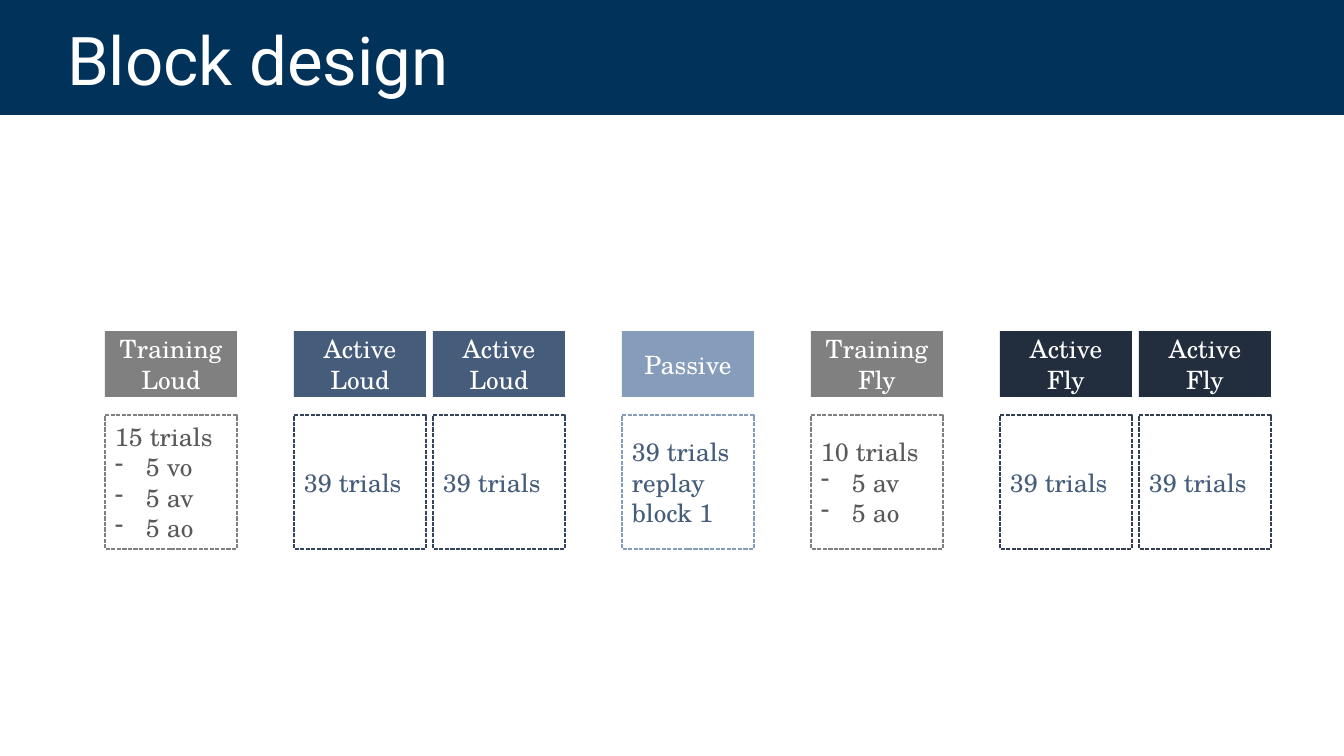
import pptx
import pptx.dml.color
import pptx.enum.dml
import pptx.enum.shapes
import pptx.enum.text
import pptx.oxml.ns
import pptx.util
from lxml import etree

EMU_PER_PX = 914400 / 100.8
SLIDE_WIDTH, SLIDE_HEIGHT = 1344, 756
BAND_HEIGHT = 115

BLOCK_WIDTH = 132
FIRST_LEFT = 105
GROUP_GAP, PAIR_GAP = 57, 7
HEADER_TOP, HEADER_HEIGHT = 331, 66
DETAIL_TOP, DETAIL_HEIGHT = 415, 134
BULLET_INDENT = 31

BLOCK_FONT = "TeX Gyre Schola"
WHITE, GRAY, DARK_GRAY, BLUE = "FFFFFF", "808080", "595959", "455C7B"

# Each block: header lines, header fill, detail lines, detail color, outline
ACTIVE_LOUD = (["Active", "Loud"], BLUE, ["39 trials"], BLUE, "33445B")
ACTIVE_FLY = (["Active", "Fly"], "222E3E", ["39 trials"], BLUE, "333F50")
BLOCK_GROUPS = [
    [(["Training", "Loud"], GRAY, ["15 trials", "5 vo", "5 av", "5 ao"], DARK_GRAY, GRAY)],
    [ACTIVE_LOUD, ACTIVE_LOUD],
    [(["Passive"], "859CBA", ["39 trials replay block 1"], BLUE, "859CBA")],
    [(["Training", "Fly"], GRAY, ["10 trials", "5 av", "5 ao"], DARK_GRAY, GRAY)],
    [ACTIVE_FLY, ACTIVE_FLY],
]


def px(length):
    return pptx.util.Emu(round(length * EMU_PER_PX))


def color(hex_string):
    return pptx.dml.color.RGBColor.from_string(hex_string)


def add_rectangle(slide, left, top, width, height, fill=None, outline=None):
    shape = slide.shapes.add_shape(
        pptx.enum.shapes.MSO_SHAPE.RECTANGLE, px(left), px(top), px(width), px(height)
    )
    shape.shadow.inherit = False
    if fill:
        shape.fill.solid()
        shape.fill.fore_color.rgb = color(fill)
    else:
        shape.fill.background()
    if outline:
        shape.line.color.rgb = color(outline)
        shape.line.width = pptx.util.Pt(1)
        shape.line.dash_style = pptx.enum.dml.MSO_LINE.SQUARE_DOT
    else:
        shape.line.fill.background()
    return shape


def add_dash_bullet(paragraph):
    properties = paragraph._p.get_or_add_pPr()
    properties.set("marL", str(px(BULLET_INDENT)))
    properties.set("indent", str(-px(BULLET_INDENT)))
    bullet = etree.SubElement(properties, pptx.oxml.ns.qn("a:buChar"))
    bullet.set("char", "-")


def write_lines(shape, lines, text_color, alignment, bulleted=False):
    """Write one paragraph per line; if bulleted, all but the first get a dash."""
    frame = shape.text_frame
    frame.word_wrap = True
    frame.vertical_anchor = pptx.enum.text.MSO_ANCHOR.MIDDLE
    frame.text = "\n".join(lines)
    for index, paragraph in enumerate(frame.paragraphs):
        if bulleted and index > 0:
            add_dash_bullet(paragraph)
        paragraph.alignment = alignment
        paragraph.font.name = BLOCK_FONT
        paragraph.font.size = pptx.util.Pt(18)
        paragraph.font.color.rgb = color(text_color)


def add_title_band(slide, left, top, width, height):
    band = add_rectangle(slide, left, top, width, height, fill="00325A")
    title = slide.shapes.title
    title.element.addprevious(band.element)
    title.left, title.top = px(left + 57), px(top + 14)
    title.width, title.height = px(500), px(height - 15)
    title.text_frame.text = "Block design"
    title.text_frame.vertical_anchor = pptx.enum.text.MSO_ANCHOR.MIDDLE
    paragraph = title.text_frame.paragraphs[0]
    paragraph.alignment = pptx.enum.text.PP_ALIGN.LEFT
    paragraph.line_spacing = 0.9
    paragraph.font.name = "Roboto"
    paragraph.font.size = pptx.util.Pt(48)
    paragraph.font.color.rgb = color(WHITE)


def add_block(slide, left, block):
    """Place a filled header and the dashed detail box below it."""
    header_lines, header_fill, detail_lines, detail_color, outline = block
    header = add_rectangle(
        slide, left, HEADER_TOP, BLOCK_WIDTH, HEADER_HEIGHT, fill=header_fill
    )
    write_lines(header, header_lines, WHITE, pptx.enum.text.PP_ALIGN.CENTER)
    detail = add_rectangle(
        slide, left, DETAIL_TOP, BLOCK_WIDTH, DETAIL_HEIGHT, outline=outline
    )
    write_lines(
        detail, detail_lines, detail_color, pptx.enum.text.PP_ALIGN.LEFT, bulleted=True
    )


def add_block_sequence(slide, left):
    for group in BLOCK_GROUPS:
        for block in group:
            add_block(slide, left, block)
            left += BLOCK_WIDTH + PAIR_GAP
        left += GROUP_GAP - PAIR_GAP


def main():
    presentation = pptx.Presentation()
    presentation.slide_width = px(SLIDE_WIDTH)
    presentation.slide_height = px(SLIDE_HEIGHT)
    title_only = presentation.slide_layouts.get_by_name("Title Only")
    slide = presentation.slides.add_slide(title_only)
    add_title_band(slide, 0, 0, SLIDE_WIDTH, BAND_HEIGHT)
    add_block_sequence(slide, FIRST_LEFT)
    presentation.save("out.pptx")


if __name__ == "__main__":
    main()
